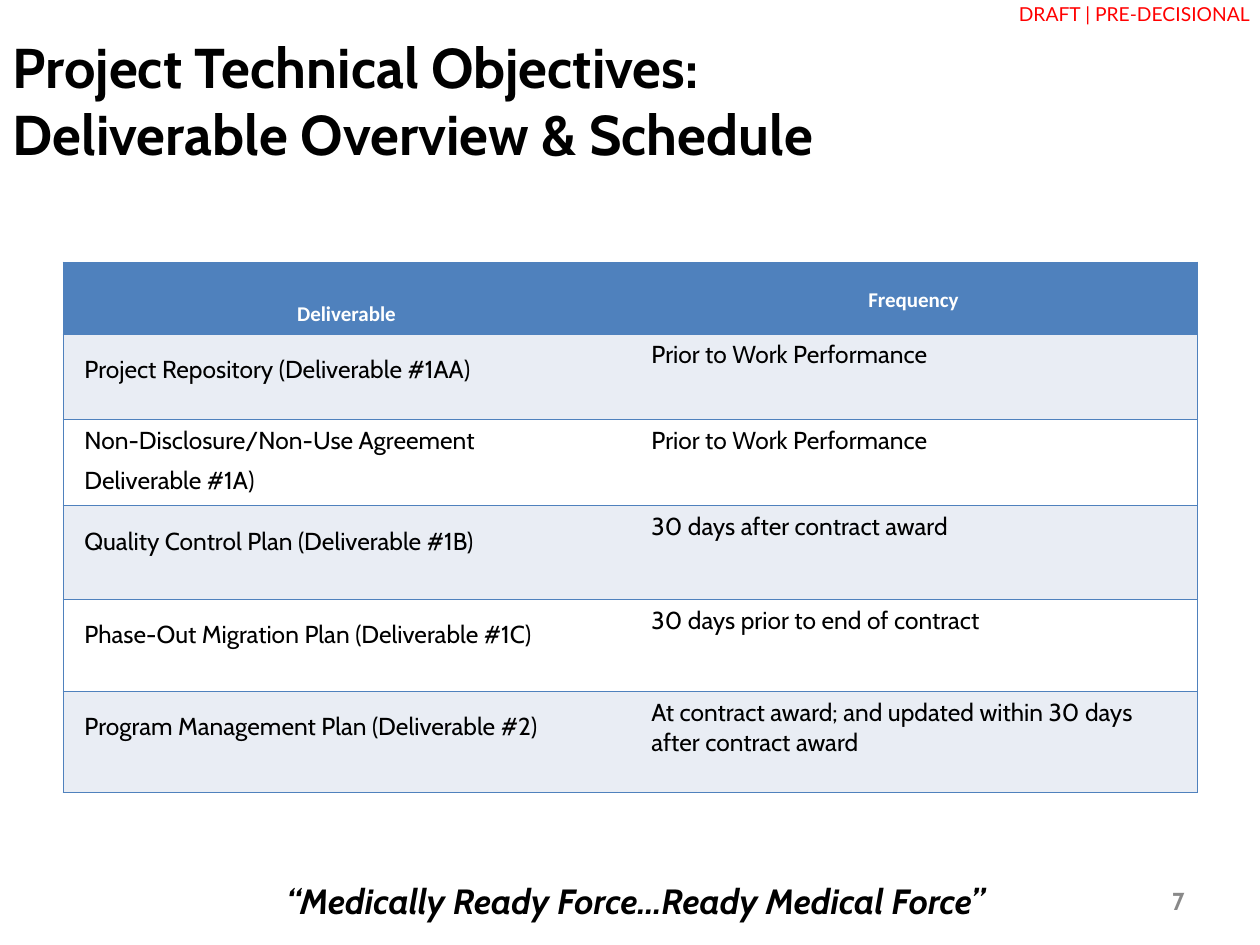
from dataclasses import dataclass

from lxml.etree import SubElement
from pptx import Presentation
from pptx.dml.color import RGBColor as RGB
from pptx.enum.text import MSO_ANCHOR as Anchor, MSO_AUTO_SIZE as Fit, PP_ALIGN as Align
from pptx.oxml.ns import qn
from pptx.util import Inches, Pt


@dataclass(frozen=True)
class Theme:
    head: str = "Cabin"
    label: str = "Calibri"
    mark: str = "Lato"
    black: str = "000000"
    white: str = "FFFFFF"
    blue: str = "4F81BD"
    pale: str = "E9EDF4"
    gray: str = "898989"
    red: str = "FF0000"
    title: float = 32
    motto: float = 20
    body: float = 14
    small: float = 12
    tiny: float = 11
    rule: float = 0.45


THEME = Theme()
HEADS = [("Deliverable", Anchor.BOTTOM), ("Frequency", Anchor.MIDDLE)]
# Deliverable, frequency, row height, line spacing of the deliverable
ROWS = [
    ("Project Repository (Deliverable #1AA)", "Prior to Work Performance", 0.68, 1.48),
    ("Non-Disclosure/Non-Use Agreement\nDeliverable #1A)",
     "Prior to Work Performance", 0.68, 1),
    ("Quality Control Plan (Deliverable #1B)", "30 days after contract award", 0.75, 1.5),
    ("Phase-Out Migration Plan (Deliverable #1C)",
     "30 days prior to end of contract", 0.73, 1.48),
    ("Program Management Plan (Deliverable #2)",
     "At contract award; and updated within 30 days after contract award", 0.8, 1.48),
]


def style(para, face, size, color, bold=False, italic=False, align=Align.LEFT):
    para.alignment = align
    font = para.font
    font.name, font.size = face, Pt(size)
    font.bold, font.italic = bold, italic
    font.color.rgb = RGB.from_string(color)


def place(shape, left, top, width, height):
    shape.left, shape.top = Inches(left), Inches(top)
    shape.width, shape.height = Inches(width), Inches(height)


def add_title(slide, text):
    title = slide.shapes.title
    place(title, 0, 0, 7.67, 1.58)
    frame = title.text_frame
    frame.text = text
    frame.auto_size = Fit.NONE
    frame.vertical_anchor = Anchor.MIDDLE
    style(frame.paragraphs[0], THEME.head, THEME.title, THEME.black, True)


def add_text(slide, text, box, anchor=Anchor.MIDDLE, lines=1, **look):
    shape = slide.shapes.add_textbox(*map(Inches, box))
    frame = shape.text_frame
    frame.word_wrap = True
    frame.vertical_anchor = anchor
    frame.text = text
    para = frame.paragraphs[0]
    para.line_spacing = lines
    style(para, **look)


def add_rules(cell, first):
    """Line the cell on all sides but the one between the columns."""
    props = cell._tc.get_or_add_tcPr()
    inner = "R" if first else "L"
    for side in "LRTB":
        line = SubElement(props, qn(f"a:ln{side}"), w=str(Pt(THEME.rule)))
        if side == inner:
            SubElement(line, qn("a:noFill"))
        else:
            fill = SubElement(line, qn("a:solidFill"))
            SubElement(fill, qn("a:srgbClr"), val=THEME.blue)


def fill_cell(cell, text, color, first):
    add_rules(cell, first)
    cell.fill.solid()
    cell.fill.fore_color.rgb = RGB.from_string(color)
    cell.text = text
    return cell.text_frame.paragraphs


def head_cell(cell, text, anchor, first):
    para = fill_cell(cell, text, THEME.blue, first)[0]
    cell.vertical_anchor = anchor
    cell.margin_left = cell.margin_right = Inches(0.04)
    para.line_spacing = 1.15
    style(para, THEME.label, THEME.small, THEME.white, True, align=Align.CENTER)


def body_cell(cell, text, color, lines, first):
    for num, para in enumerate(fill_cell(cell, text, color, first)):
        para.line_spacing = lines
        if num:
            para.space_before = Pt(6)
        para._p.get_or_add_pPr().set("marL", str(Inches(0.07)))
        style(para, THEME.head, THEME.body, THEME.black)


def add_grid(slide):
    tall = [0.57] + [row[2] for row in ROWS]
    frame = slide.shapes.add_table(len(tall), 2, Inches(0.5), Inches(2.08),
                                   Inches(9), Inches(sum(tall)))
    table = frame.table
    table.horz_banding = False
    for row, height in zip(table.rows, tall):
        row.height = Inches(height)
    for col, (text, anchor) in enumerate(HEADS):
        head_cell(table.cell(0, col), text, anchor, col == 0)
    for num, (item, when, _, lines) in enumerate(ROWS, 1):
        color = THEME.pale if num % 2 else THEME.white
        body_cell(table.cell(num, 0), item, color, lines, True)
        body_cell(table.cell(num, 1), when, color, 1, False)


def main():
    deck = Presentation()
    deck.slide_width, deck.slide_height = Inches(10), Inches(7.5)
    slide = deck.slides.add_slide(deck.slide_layouts[5])

    # Heading and status mark
    add_text(slide, "DRAFT | PRE-DECISIONAL", (7.35, 0.02, 2.67, 0.23), Anchor.TOP, 0.7,
             face=THEME.mark, size=THEME.tiny, color=THEME.red, align=Align.RIGHT)
    add_title(slide, "Project Technical Objectives: \vDeliverable Overview & Schedule")

    # Schedule
    add_grid(slide)

    # Footer
    add_text(slide, "7", (8.33, 6.95, 1.17, 0.4), face=THEME.head, size=THEME.body,
             color=THEME.gray, bold=True, align=Align.RIGHT)
    add_text(slide, "“Medically Ready Force…Ready Medical Force”", (1.92, 6.95, 6.25, 0.4),
             face=THEME.head, size=THEME.motto, color=THEME.black, bold=True,
             italic=True, align=Align.CENTER)

    deck.save("out.pptx")


if __name__ == "__main__":
    main()
